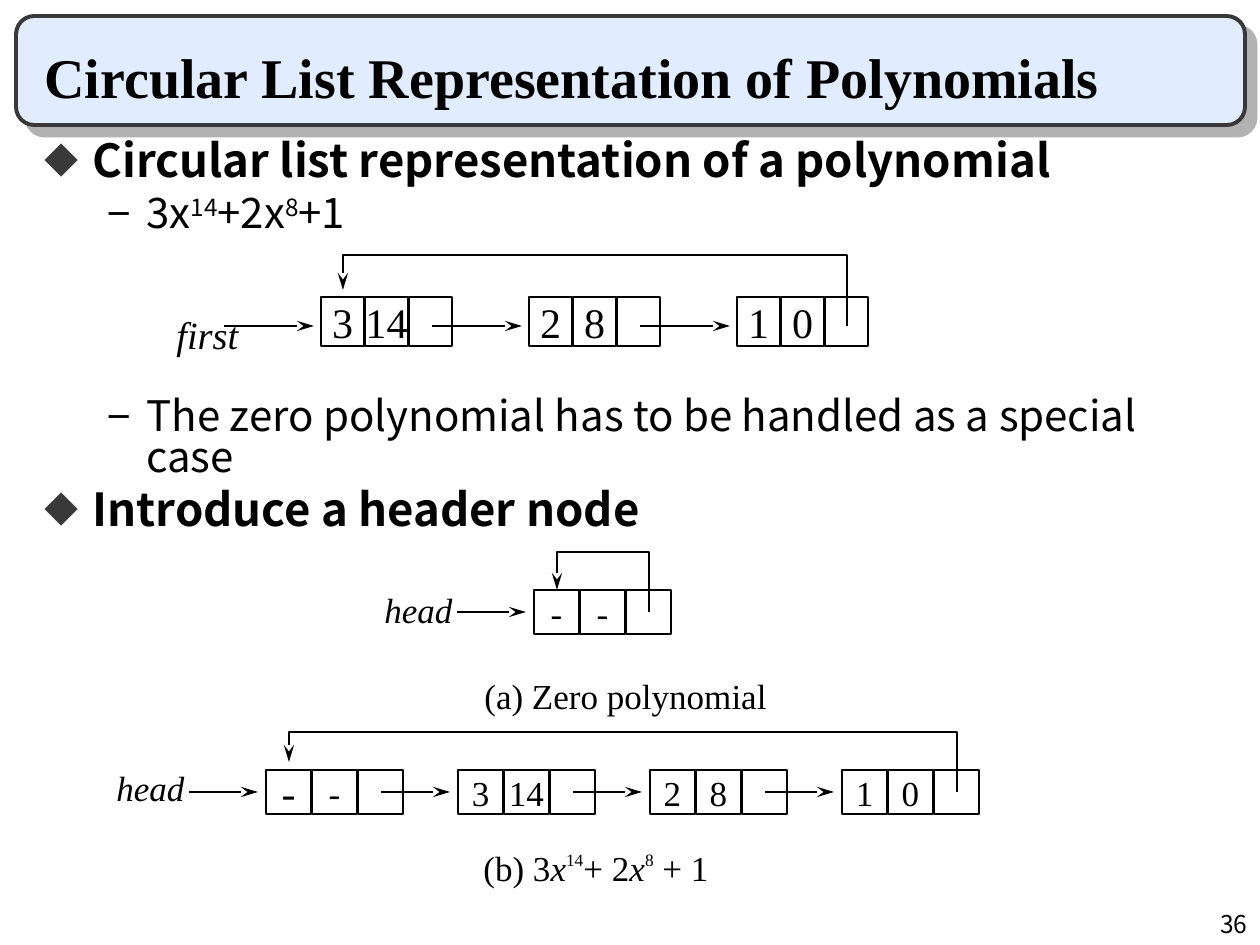
import pptx
import pptx.util
import pptx.dml.color
import pptx.enum.shapes
import pptx.enum.text
import pptx.oxml
import pptx.oxml.ns
import lxml.etree

SCALE = 914400 / 126
HUES = {"ink": "000000", "edge": "393939", "band": "E1ECFF", "shade": "B2B2B2"}
SERIF = "Times New Roman"
SANS = "Noto Sans CJK KR"
ALIGN = pptx.enum.text.PP_ALIGN
ANCHOR = pptx.enum.text.MSO_ANCHOR
KINDS = pptx.enum.shapes.MSO_SHAPE


def px(*nums):
    return [pptx.util.Emu(round(n * SCALE)) for n in nums]


def hue(name):
    return pptx.dml.color.RGBColor.from_string(HUES[name])


def sub(node, tag, **attrs):
    child = lxml.etree.SubElement(node, pptx.oxml.ns.qn(tag))
    for key, val in attrs.items():
        child.set(key, str(val))
    return child


class Pen:
    def __init__(self, slide):
        self.slide = slide
        self.shapes = slide.shapes

    def run(self, para, text, size, font=SERIF, bold=False, slant=False, base=0):
        run = para.add_run()
        run.text = text
        run.font.size = pptx.util.Pt(size)
        run.font.name = font
        run.font.bold = bold
        run.font.italic = slant
        run.font.color.rgb = hue("ink")
        if base:
            run._r.get_or_add_rPr().set("baseline", str(base * 1000))

    def text(self, box, runs, wrap=False, align=ALIGN.LEFT, anchor=ANCHOR.TOP):
        frame = self.shapes.add_textbox(*px(*box)).text_frame
        frame.word_wrap = wrap
        frame.vertical_anchor = anchor
        para = frame.paragraphs[0]
        para.alignment = align
        for text, style in runs:
            self.run(para, text, **style)
        return frame

    def point(self, para, mark, left, hang, gap, runs, tint="ink", pct=100):
        props = para._p.get_or_add_pPr()
        props.set("marL", str(px(left)[0]))
        props.set("indent", str(px(-hang)[0]))
        sub(sub(props, "a:buClr"), "a:srgbClr", val=HUES[tint])
        sub(props, "a:buSzPct", val=pct * 1000)
        sub(props, "a:buFont", typeface=SANS)
        sub(props, "a:buChar", char=mark)
        para.line_spacing = 0.8
        if gap:
            para.space_before = pptx.util.Pt(gap)
        for text, style in runs:
            self.run(para, text, font=SANS, **style)

    def banner(self, box):
        shape = self.shapes.add_shape(KINDS.ROUNDED_RECTANGLE, *px(*box))
        shape.adjustments[0] = 0.167
        shape.fill.solid()
        shape.fill.fore_color.rgb = hue("band")
        shape.line.color.rgb = hue("edge")
        shape.line.width = pptx.util.Pt(2.25)
        shape.shadow.inherit = False
        effects = shape._element.spPr.find(pptx.oxml.ns.qn("a:effectLst"))
        drop = sub(effects, "a:outerShdw", blurRad=0, dist=107950, dir=2700000, algn="tl", rotWithShape=0)
        sub(drop, "a:srgbClr", val=HUES["shade"])

    def stroke(self, shape, tip=False):
        shape.line.color.rgb = hue("ink")
        shape.line.width = pptx.util.Pt(1)
        if tip:
            line = shape._element.spPr.find(pptx.oxml.ns.qn("a:ln"))
            sub(line, "a:tailEnd", type="stealth", w="med", len="lg")

    def cell(self, box, text, size):
        shape = self.shapes.add_shape(KINDS.RECTANGLE, *px(*box))
        shape.shadow.inherit = False
        shape.fill.background()
        self.stroke(shape)
        if text:
            frame = shape.text_frame
            frame.word_wrap = False
            frame.vertical_anchor = ANCHOR.MIDDLE
            frame.paragraphs[0].alignment = ALIGN.CENTER
            self.run(frame.paragraphs[0], text, size)

    def arrow(self, x1, x2, y):
        kind = pptx.enum.shapes.MSO_CONNECTOR.STRAIGHT
        line = self.shapes.add_connector(kind, *px(x1, y, x2, y))
        self.stroke(line, tip=True)
        sub(line._element.spPr, "a:effectLst")

    def loop(self, spots):
        spots = [px(*spot) for spot in spots]
        path = self.shapes.build_freeform(*spots[0])
        path.add_line_segments(spots[1:], close=False)
        shape = path.convert_to_shape()
        shape.shadow.inherit = False
        shape.fill.background()
        self.stroke(shape, tip=True)

    def chain(self, left, top, nodes, step, pitch, high, mid, size, reach, stop, rise, tip):
        for i, node in enumerate(nodes):
            x = left + i * step
            for j, item in enumerate(node + [("", size)]):
                text, points = item if isinstance(item, tuple) else (item, size)
                self.cell((x + j * pitch, top, pitch - 1, high), text, points)
            self.arrow(x - reach, x - stop, top + mid)
        back = left + (len(nodes) - 1) * step + pitch * 5 // 2
        front = left + pitch // 2
        self.loop([(back, top + mid), (back, top - rise), (front, top - rise), (front, top - tip)])


def main():
    deck = pptx.Presentation()
    deck.slide_width, deck.slide_height = px(1260, 945)
    pen = Pen(deck.slides.add_slide(deck.slide_layouts[6]))

    pen.banner((16, 16, 1229, 109))
    pen.text((998, 903, 262, 42), [("36", dict(size=14, font=SANS))], wrap=True, align=ALIGN.RIGHT)
    title = "Circular List Representation of Polynomials"
    pen.text((32, 32, 1187, 84), [(title, dict(size=32, bold=True))], wrap=True, anchor=ANCHOR.BOTTOM)

    head = dict(size=26, bold=True)
    body = dict(size=24)
    power = dict(size=24, base=30)
    top = dict(mark="◆", left=48, hang=48, tint="edge", pct=75)
    low = dict(mark="−", left=102, hang=39)
    points = [
        (top, 0, [("Circular list representation of a polynomial", head)]),
        (low, 6, [("3x", body), ("14", power), ("+2x", body), ("8", power), ("+1", body)]),
        (low, 93, [("The zero polynomial has to be handled as a special case", body)]),
        (top, 6.5, [("Introduce a header node", head)]),
    ]
    frame = pen.text((32, 136, 1187, 735), [], wrap=True)
    for i, (level, gap, runs) in enumerate(points):
        para = frame.add_paragraph() if i else frame.paragraphs[0]
        pen.point(para, gap=gap, runs=runs, **level)

    terms = [["3", "14"], ["2", "8"], ["1", "0"]]
    pen.chain(321, 297, terms, step=208, pitch=44, high=49, mid=29, size=24,
              reach=97, stop=7, rise=42, tip=7)
    small = dict(step=192, pitch=46, high=44, mid=22, size=20, reach=77, stop=8, rise=38)
    pen.chain(534, 590, [["-", "-"]], tip=0, **small)
    pen.chain(266, 770, [[("-", 24), "-"]] + terms, tip=8, **small)

    pen.text((164, 305, 87, 59), [("first", dict(size=22, slant=True))])
    for x, y in [(372, 582), (104, 760)]:
        pen.text((x, y, 93, 54), [("head", dict(size=20, slant=True))])

    plain = dict(size=20)
    slant = dict(size=20, slant=True)
    tiny = dict(size=17, base=50)
    pen.text((472, 668, 340, 54), [("(a) Zero polynomial", plain)], wrap=True)
    pen.text((471, 840, 340, 54), [
        ("(b) 3", plain), ("x", slant), ("14", tiny), ("+ 2", plain),
        ("x", slant), ("8", tiny), (" + 1", plain)], wrap=True)

    deck.save("out.pptx")


if __name__ == "__main__":
    main()
